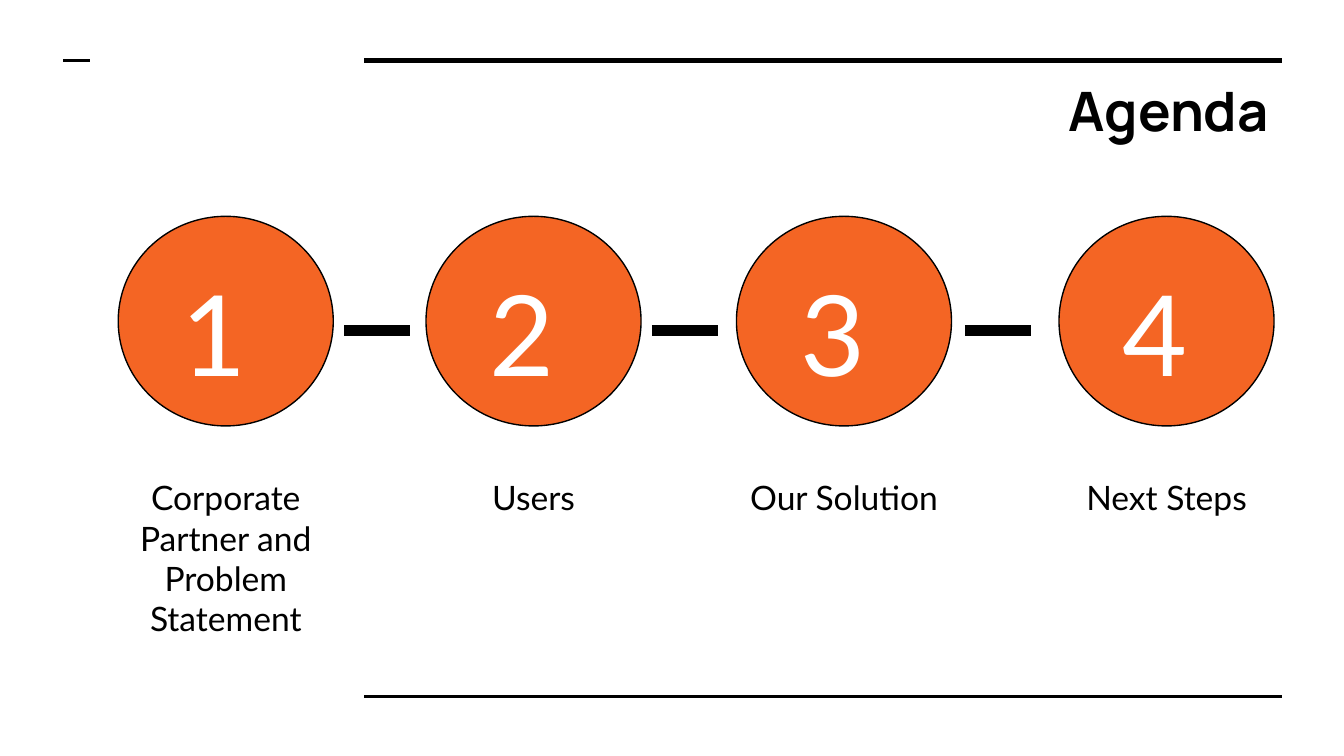
from lxml.etree import SubElement
from pptx import Presentation
from pptx.dml.color import RGBColor
from pptx.enum.shapes import MSO_CONNECTOR, MSO_SHAPE
from pptx.enum.text import MSO_ANCHOR, PP_ALIGN
from pptx.oxml.ns import qn
from pptx.util import Inches, Pt

TITLE = "Agenda"
# Left edge of each circle, label below it
STEPS = [
    (0.88, "Corporate Partner and Problem Statement"),
    (3.17, "Users"),
    (5.48, "Our Solution"),
    (7.88, "Next Steps"),
]
# Left, right, height on the slide, line width in points
RULES = [(2.71, 9.54, 0.45, 3), (2.71, 9.54, 5.18, 1.5), (0.47, 0.67, 0.45, 1.5)]
DASH_STARTS = [2.56, 4.85, 7.18]
DASH_LENGTH, DASH_TOP, DASH_WEIGHT = 0.49, 2.46, 6

BLACK, WHITE, ORANGE = "000000", "FFFFFF", "F46524"
TITLE_FORMAT = {"name": "Manrope", "size": Pt(29.1), "bold": True}
NUMBER_FORMAT = {"name": "Lato", "size": Pt(60), "bold": False}
LABEL_FORMAT = {"name": "Lato", "size": Pt(18), "bold": False}

SLIDE_WIDTH = Inches(10)
SLIDE_HEIGHT = SLIDE_WIDTH * 9 // 16
TITLE_BOX = (2.63, 0.47, 6.91, 0.69)
CIRCLE_TOP, CIRCLE_WIDTH, CIRCLE_HEIGHT = 1.61, 1.6, 1.56
NUMBER_TOP, NUMBER_WIDTH, NUMBER_HEIGHT = 1.87, 0.85, 1.2
LABEL_TOP, LABEL_WIDTH = 3.45, 1.72
LABEL_HEIGHT, LONG_LABEL_HEIGHT = 0.51, 1.42
LONGEST_SINGLE_LINE = 15


def color(hex_value):
    return RGBColor.from_string(hex_value)


def write_text(shape, text, font_format, font_color, alignment, anchor=MSO_ANCHOR.TOP):
    frame = shape.text_frame
    frame.word_wrap = True
    frame.vertical_anchor = anchor
    for side in ("left", "right", "top", "bottom"):
        setattr(frame, f"margin_{side}", Inches(0.1))
    paragraph = frame.paragraphs[0]
    paragraph.alignment = alignment
    run = paragraph.add_run()
    run.text = text
    for attribute, value in font_format.items():
        setattr(run.font, attribute, value)
    run.font.color.rgb = color(font_color)


def add_text(slide, box, *text_arguments):
    textbox = slide.shapes.add_textbox(*map(Inches, box))
    write_text(textbox, *text_arguments)


def add_line(slide, left, right, top, weight):
    line = slide.shapes.add_connector(
        MSO_CONNECTOR.STRAIGHT, Inches(left), Inches(top), Inches(right), Inches(top)
    )
    line.line.color.rgb = color(BLACK)
    line.line.width = Pt(weight)
    SubElement(line._element.spPr, qn("a:effectLst"))


def add_step(slide, number, left, label):
    circle = slide.shapes.add_shape(
        MSO_SHAPE.OVAL,
        *map(Inches, (left, CIRCLE_TOP, CIRCLE_WIDTH, CIRCLE_HEIGHT)),
    )
    circle.shadow.inherit = False
    circle.fill.solid()
    circle.fill.fore_color.rgb = color(ORANGE)
    circle.line.color.rgb = color(BLACK)
    circle.line.width = Pt(0.75)

    center = left + CIRCLE_WIDTH / 2
    label_height = LABEL_HEIGHT if len(label) <= LONGEST_SINGLE_LINE else LONG_LABEL_HEIGHT
    number_box = (center - NUMBER_WIDTH / 2, NUMBER_TOP, NUMBER_WIDTH, NUMBER_HEIGHT)
    label_box = (center - LABEL_WIDTH / 2, LABEL_TOP, LABEL_WIDTH, label_height)
    add_text(slide, number_box, str(number), NUMBER_FORMAT, WHITE, PP_ALIGN.LEFT)
    add_text(slide, label_box, label, LABEL_FORMAT, BLACK, PP_ALIGN.CENTER)


def main():
    presentation = Presentation()
    presentation.slide_width = SLIDE_WIDTH
    presentation.slide_height = SLIDE_HEIGHT
    slide = presentation.slides.add_slide(presentation.slide_layouts.get_by_name("Title Only"))

    title = slide.shapes.title
    title.left, title.top, title.width, title.height = map(Inches, TITLE_BOX)
    write_text(title, TITLE, TITLE_FORMAT, BLACK, PP_ALIGN.RIGHT, MSO_ANCHOR.MIDDLE)

    for rule in RULES:
        add_line(slide, *rule)
    for number, (left, label) in enumerate(STEPS, start=1):
        add_step(slide, number, left, label)
    for start in DASH_STARTS:
        add_line(slide, start, start + DASH_LENGTH, DASH_TOP, DASH_WEIGHT)

    presentation.save("out.pptx")


if __name__ == "__main__":
    main()
